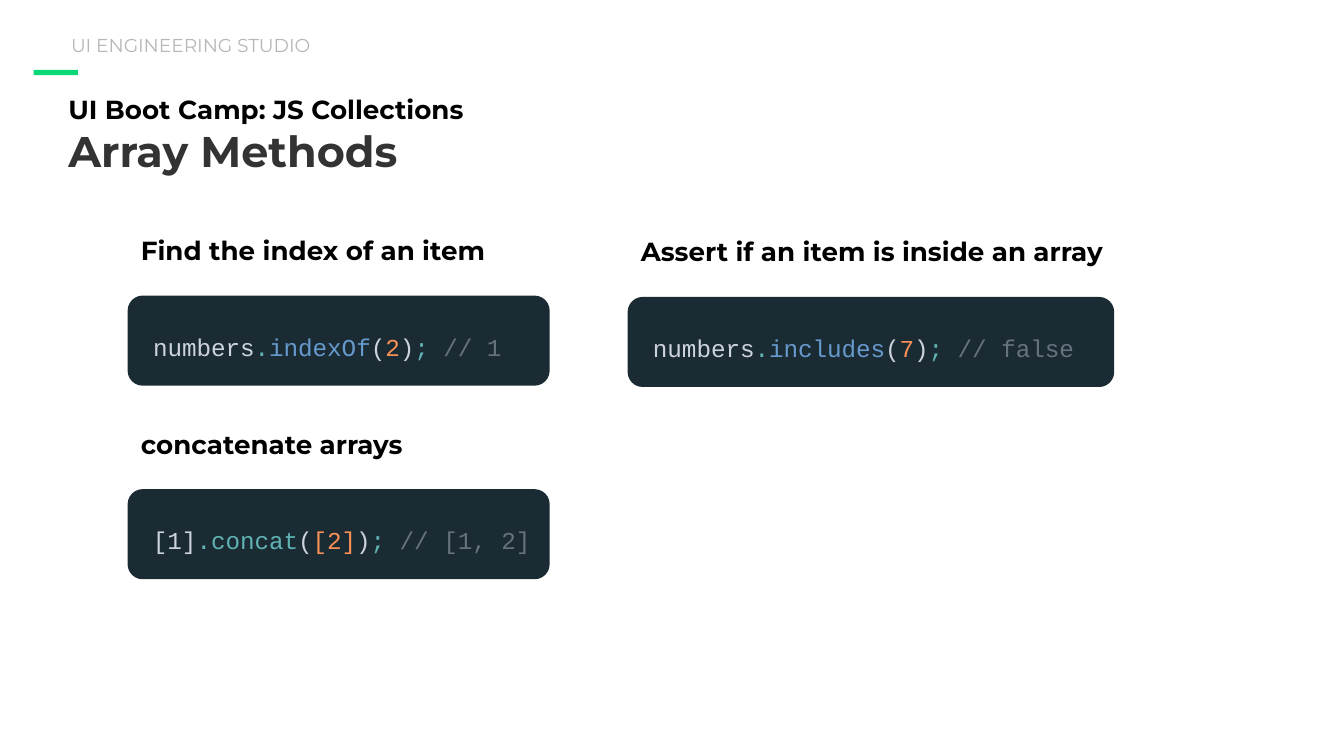
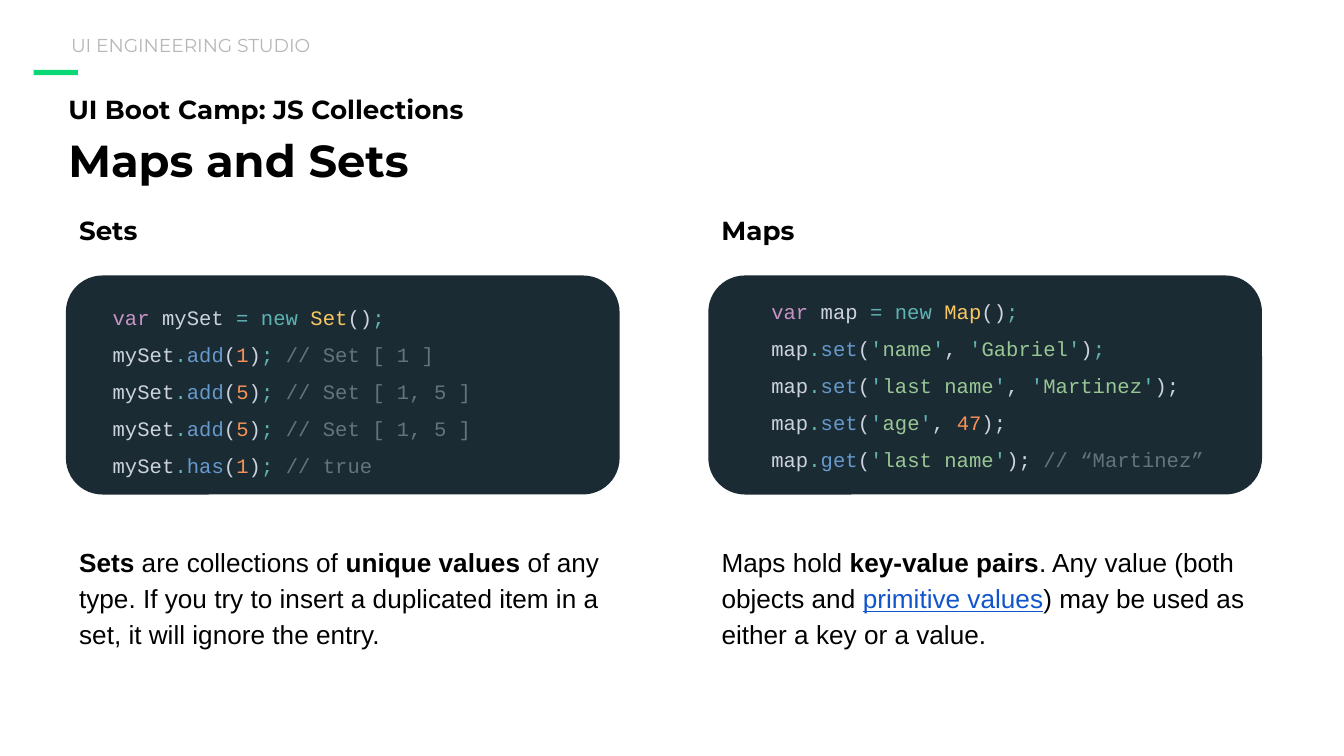
from pptx import Presentation
from pptx.dml.color import RGBColor
from pptx.enum.shapes import MSO_SHAPE as SHAPE
from pptx.enum.text import MSO_ANCHOR as ANCHOR
from pptx.util import Inches, Pt

BLACK = RGBColor(0x00, 0x00, 0x00)
CHARCOAL = RGBColor(0x33, 0x33, 0x33)
SILVER = RGBColor(0xB7, 0xB7, 0xB7)
ACCENT = RGBColor(0x0A, 0xD8, 0x76)
LINK = RGBColor(0x11, 0x55, 0xCC)
CODE_BG = RGBColor(0x1B, 0x2B, 0x34)
PLAIN = RGBColor(0xCD, 0xD3, 0xDE)
TEAL = RGBColor(0x5F, 0xB3, 0xB3)
BLUE = RGBColor(0x66, 0x99, 0xCC)
ORANGE = RGBColor(0xF9, 0x91, 0x57)
GREY = RGBColor(0x65, 0x73, 0x7E)
PURPLE = RGBColor(0xC5, 0x94, 0xC5)
YELLOW = RGBColor(0xFA, 0xC8, 0x63)
GREEN = RGBColor(0x99, 0xC7, 0x94)

HEAD, BODY, MONO = "Montserrat", "Arial", "Courier New"


def run(text, **fmt):
    """A piece of text with the format that differs from its box."""
    return text, fmt


def number(text):
    return [run(text, color=ORANGE)]


def string(text):
    quote = run("'", color=TEAL)
    return [quote, run(text, color=GREEN), quote]


def declare(name, cls):
    return [run("var", color=PURPLE), run(f" {name}"), run(" = new ", color=TEAL),
            run(cls, color=YELLOW), run("()"), run(";", color=TEAL)]


def call(obj, method, *args, note="", method_color=BLUE, end_color=TEAL):
    """Coloured runs of one line: obj.method(args); // note"""
    runs = [run(obj), run(".", color=TEAL), run(method, color=method_color), run("(")]
    for i, arg in enumerate(args):
        runs += ([run(", ")] if i else []) + arg
    runs += [run(")"), run(";", color=end_color)]
    if note:
        runs.append(run(f" // {note}", color=GREY))
    return runs


class Deck:
    def __init__(self):
        self.prs = Presentation()
        self.prs.slide_width = Inches(10)
        self.prs.slide_height = Inches(10 * 9 / 16)

    def new_slide(self, title, size, color=BLACK, spacing=1.15):
        self.slide = self.prs.slides.add_slide(self.prs.slide_layouts[6])
        tf = self.text(0.41, 0.56, 4.59, 0.95, [[run("UI Boot Camp: JS Collections")]],
                       font=HEAD, size=14, bold=True)
        self.paragraph(tf.add_paragraph(), [run(title)], spacing,
                       font=HEAD, size=size, bold=True, color=color)
        self.shape(SHAPE.RECTANGLE, 0.25, 0.52, 0.33, 0.04, ACCENT)
        self.text(0.43, 0.19, 3.78, 0.26, [[run("UI ENGINEERING STUDIO")]],
                  anchor=ANCHOR.MIDDLE, font=HEAD, size=10, color=SILVER)

    def shape(self, kind, x, y, w, h, fill):
        sp = self.slide.shapes.add_shape(kind, Inches(x), Inches(y), Inches(w), Inches(h))
        sp.shadow.inherit = False
        sp.fill.solid()
        sp.fill.fore_color.rgb = fill
        sp.line.fill.background()

    def paragraph(self, p, runs, spacing, font, size, color=BLACK, bold=False):
        p.line_spacing = spacing
        for text, fmt in runs:
            r = p.add_run()
            r.text = text
            r.font.name, r.font.size = font, Pt(size)
            r.font.bold = fmt.get("bold", bold)
            r.font.underline = fmt.get("underline", False)
            r.font.color.rgb = fmt.get("color", color)

    def text(self, x, y, w, h, lines, anchor=ANCHOR.TOP, spacing=1.15, **fmt):
        """Text box with one paragraph for each list of runs."""
        box = self.slide.shapes.add_textbox(Inches(x), Inches(y), Inches(w), Inches(h))
        tf = box.text_frame
        tf.word_wrap = True
        tf.vertical_anchor = anchor
        tf.margin_left = tf.margin_right = tf.margin_top = tf.margin_bottom = Inches(0.1)
        for i, runs in enumerate(lines):
            p = tf.add_paragraph() if i else tf.paragraphs[0]
            self.paragraph(p, runs, spacing, **fmt)
        return tf

    def code_card(self, heading, x, y, w, h, heading_w=3.14):
        """Dark rounded panel with a heading above it."""
        self.shape(SHAPE.ROUNDED_RECTANGLE, x, y, w, h, CODE_BG)
        self.text(x, y - 0.59, heading_w, 0.51, [[run(heading)]],
                  font=HEAD, size=14, bold=True)

    def code(self, x, y, w, h, lines, size):
        self.text(x, y, w, h, lines, anchor=ANCHOR.MIDDLE, spacing=1.5,
                  font=MONO, size=size, color=PLAIN)

    def description(self, x, runs):
        self.text(x, 3.93, 4.12, 0.95, [runs], font=BODY, size=14)


def array_methods(deck):
    deck.new_slide("Array Methods", 23, CHARCOAL, spacing=1.0)
    left, right, top, row_step = 0.95, 4.67, 2.2, 1.44
    examples = [
        ("Find the index of an item", left, top, 3.14, 3.14, 2.82,
         call("numbers", "indexOf", number("2"), note="1")),
        ("Assert if an item is inside an array", right, top + 0.01, 3.62, 4.38, 3.78,
         call("numbers", "includes", number("7"), note="false")),
        ("concatenate arrays", left, top + row_step, 3.14, 3.14, 3.23,
         call("[1]", "concat", number("[2]"), note="[1, 2]", method_color=TEAL)),
    ]
    for heading, x, y, card_w, heading_w, code_w, line in examples:
        deck.code_card(heading, x, y, card_w, 0.67, heading_w)
        deck.code(x + 0.09, y + 0.14, code_w, 0.37, [line], 13)


def maps_and_sets(deck):
    deck.new_slide("Maps and Sets", 24)
    sets_x, maps_x, top, card_w, card_h = 0.49, 5.27, 2.05, 4.12, 1.63

    deck.code_card("Sets", sets_x, top, card_w, card_h)
    deck.code(sets_x + 0.25, top, 3.73, card_h, [
        declare("mySet", "Set"),
        *(call("mySet", method, number(value), note=note) for method, value, note in [
            ("add", "1", "Set [ 1 ]"),
            ("add", "5", "Set [ 1, 5 ]"),
            ("add", "5", "Set [ 1, 5 ]"),
            ("has", "1", "true"),
        ]),
    ], 11)
    deck.description(sets_x, [
        run("Sets", bold=True), run(" are collections of "),
        run("unique values", bold=True),
        run(" of any type. If you try to insert a duplicated item in a set, "
            "it will ignore the entry."),
    ])

    deck.code_card("Maps", maps_x, top, card_w, card_h)
    deck.code(maps_x + 0.37, top, 3.58, 1.54, [
        declare("map", "Map"),
        call("map", "set", string("name"), string("Gabriel")),
        call("map", "set", string("last name"), string("Martinez"), end_color=PLAIN),
        call("map", "set", string("age"), number("47"), end_color=PLAIN),
        call("map", "get", string("last name"), note="“Martinez”", end_color=PLAIN),
    ], 11)
    deck.description(maps_x, [
        run("Maps hold "), run("key-value pairs", bold=True),
        run(". Any value (both objects and "),
        run("primitive values", color=LINK, underline=True),
        run(") may be used as either a key or a value."),
    ])


def main():
    deck = Deck()
    array_methods(deck)
    maps_and_sets(deck)
    deck.prs.save("out.pptx")


if __name__ == "__main__":
    main()
